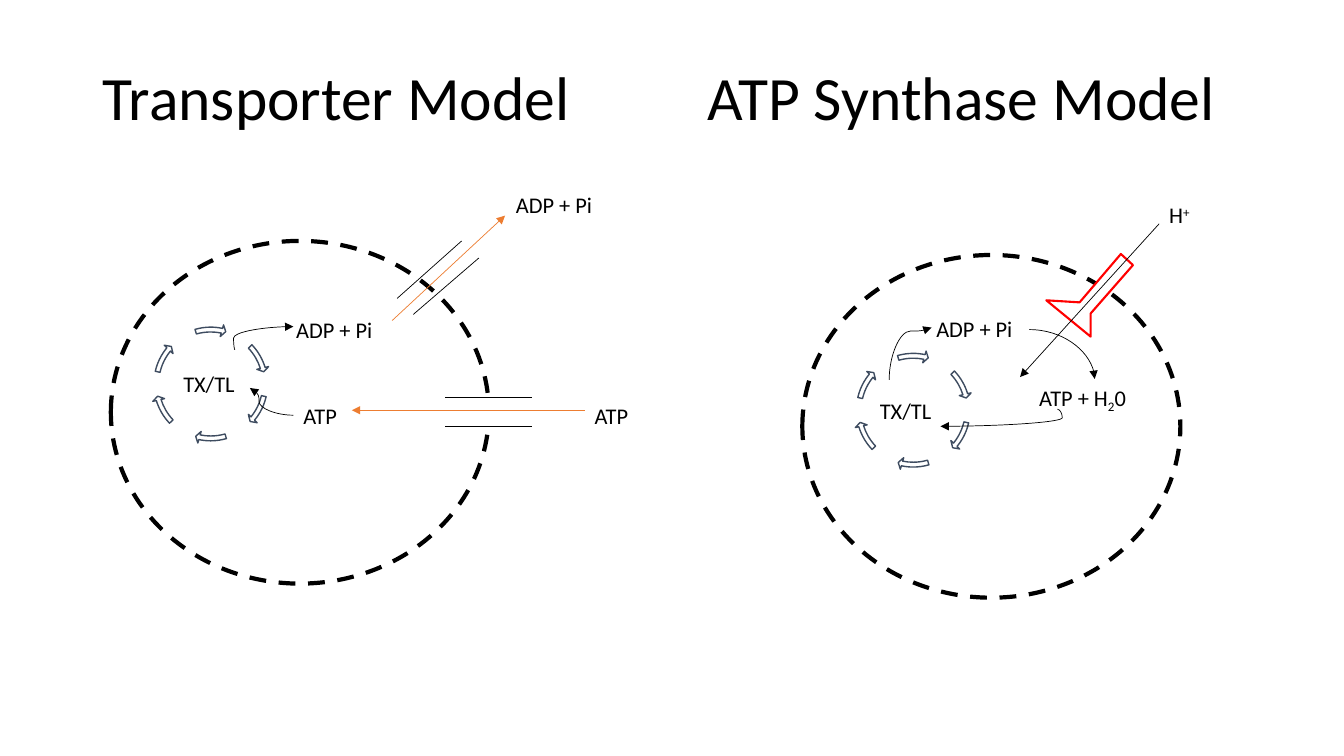
"""Build a slide comparing the transporter and ATP synthase cell models."""
from lxml import etree
from pptx import Presentation
from pptx import util as u
from pptx.dml.color import RGBColor
from pptx.enum import dml, shapes, text
from pptx.oxml.ns import qn

COLORS = {"ink": "000000", "paper": "FFFFFF", "ring": "3E4C60",
          "transport": "ED7D31", "synthase": "FF0000"}

presentation = Presentation()
presentation.slide_width, presentation.slide_height = u.Inches(13.33), u.Inches(7.5)
slide = presentation.slides.add_slide(presentation.slide_layouts[6])
column = presentation.slide_width / 100
row = presentation.slide_height / 100


def style(shape, fill=None, line=None, width=1):
    shape.shadow.inherit = False
    if fill:
        shape.fill.solid()
        shape.fill.fore_color.rgb = RGBColor.from_string(COLORS[fill])
    else:
        shape.fill.background()
    if line:
        shape.line.color.rgb = RGBColor.from_string(COLORS[line])
        shape.line.width = u.Pt(width)
    else:
        shape.line.fill.background()


def connect(kind, start, end, color="ink", arrow=False):
    connector = slide.shapes.add_connector(
        kind, int(start[0] * column), int(start[1] * row),
        int(end[0] * column), int(end[1] * row))
    connector.line.color.rgb = RGBColor.from_string(COLORS[color])
    connector.line.width = u.Pt(0.5)
    if arrow:
        etree.SubElement(connector.line._get_or_add_ln(), qn("a:tailEnd"), type="triangle")
    etree.SubElement(connector._element.spPr, qn("a:effectLst"))
    return connector


for left, top in [(8.25, 31.87), (59.7, 33.73)]:
    membrane = slide.shapes.add_shape(
        shapes.MSO_SHAPE.OVAL, int(left * column), int(top * row),
        int(28.13 * column), int(45.33 * row))
    style(membrane, line="ink", width=3)
    membrane.line.dash_style = dml.MSO_LINE.DASH

channel = slide.shapes.add_shape(
    shapes.MSO_SHAPE.RECTANGLE, int(33.11 * column), int(52.87 * row),
    int(6.45 * column), int(3.33 * row))
style(channel, fill="paper")

ring_angles = [(205.73, 189.83), (23.66, 7.77), (61.11, 44.39),
               (97.73, 81.83), (131.66, 115.77), (169.11, 152.39)]
for left, top in [(11.18, 42.8), (63.45, 46.27)]:
    for angles in ring_angles:
        ring_arrow = slide.shapes.add_shape(
            shapes.MSO_SHAPE.CIRCULAR_ARROW, int(left * column), int(top * row),
            int(9 * column), int(16 * row))
        for index, value in enumerate([0.04, 2.5, *angles, 0.05]):
            ring_arrow.adjustments[index] = value
        style(ring_arrow, fill="paper", line="ring")

synthase_outline = [(83.4, 33.6), (80.33, 40), (77.85, 39.73),
                    (81.15, 44.53), (81.15, 41.47), (84.3, 35.07)]
points = [(int(x * column), int(y * row)) for x, y in synthase_outline]
builder = slide.shapes.build_freeform(*points[0])
builder.add_line_segments(points[1:], close=True)
style(builder.convert_to_shape(), fill="paper", line="synthase", width=1.5)

straight_lines = [
    ((29.55, 39.47), (34.35, 31.87), "ink", False),
    ((30.75, 41.6), (35.63, 34.13), "ink", False),
    ((29.18, 42.4), (37.58, 28.53), "transport", True),
    ((33.15, 52.53), (39.6, 52.53), "ink", False),
    ((33.15, 56.4), (39.6, 56.4), "ink", False),
    ((43.5, 54.27), (26.18, 54.27), "transport", True),
    ((86.25, 29.6), (75.9, 49.87), "ink", True),
]
for start, end, color, arrow in straight_lines:
    connect(shapes.MSO_CONNECTOR.STRAIGHT, start, end, color, arrow)

curves = [
    ((17.48, 46.27), (21.83, 43.2), -2400, 0),
    ((21.83, 54.93), (18.6, 51.33), 78900, 0),
    ((76.58, 43.6), (81.45, 50.13), None, 0),
    ((69.68, 49.6), (65.78, 44), 93200, 90),
    ((78.68, 54.13), (69.98, 56.4), -4200, 0),
]
for start, end, bend, rotation in curves:
    properties = connect(shapes.MSO_CONNECTOR.CURVE, start, end, arrow=True)._element.spPr
    geometry = properties.find(qn("a:prstGeom"))
    if bend is None:
        geometry.set("prst", "curvedConnector2")
    else:
        etree.SubElement(geometry.find(qn("a:avLst")), qn("a:gd"),
                         name="adj1", fmla=f"val {bend}")
    if rotation:
        properties.find(qn("a:xfrm")).set("rot", str(rotation * 60000))

labels = [
    (6.9, 5.33, 39.38, 16, 44, [("Transporter Model", 0)]),
    (51.9, 5.33, 43.73, 16, 44, [("ATP Synthase Model", 0)]),
    (12.9, 48.27, 8.33, 4.93, 16, [("TX/TL", 0)]),
    (64.73, 51.87, 8.33, 4.93, 16, [("TX/TL", 0)]),
    (21.3, 41.2, 9.83, 4.93, 16, [("ADP + Pi", 0)]),
    (37.65, 24.67, 9.83, 4.93, 16, [("ADP + Pi", 0)]),
    (68.93, 41.07, 9.83, 4.93, 16, [("ADP + Pi", 0)]),
    (21.83, 52.53, 4.95, 4.93, 16, [("ATP", 0)]),
    (43.5, 52.53, 4.95, 4.93, 16, [("ATP", 0)]),
    (76.58, 50.13, 9.75, 4.93, 16, [("ATP + H", 0), ("2", -25000), ("0", 0)]),
    (86.25, 26, 4.5, 4.93, 16, [("H", 0), ("+", 30000)]),
]
for left, top, width, height, size, runs in labels:
    box = slide.shapes.add_textbox(int(left * column), int(top * row),
                                   int(width * column), int(height * row))
    frame = box.text_frame
    frame.word_wrap = True
    paragraph = frame.paragraphs[0]
    if size == 44:
        frame.vertical_anchor = text.MSO_ANCHOR.MIDDLE
        paragraph.line_spacing = 0.9
    paragraph.font.name = "Calibri"
    paragraph.font.size = u.Pt(size)
    paragraph.font.color.rgb = RGBColor.from_string(COLORS["ink"])
    for words, baseline in runs:
        run = paragraph.add_run()
        run.text = words
        if baseline:
            run._r.get_or_add_rPr().set("baseline", str(baseline))

presentation.save("out.pptx")
